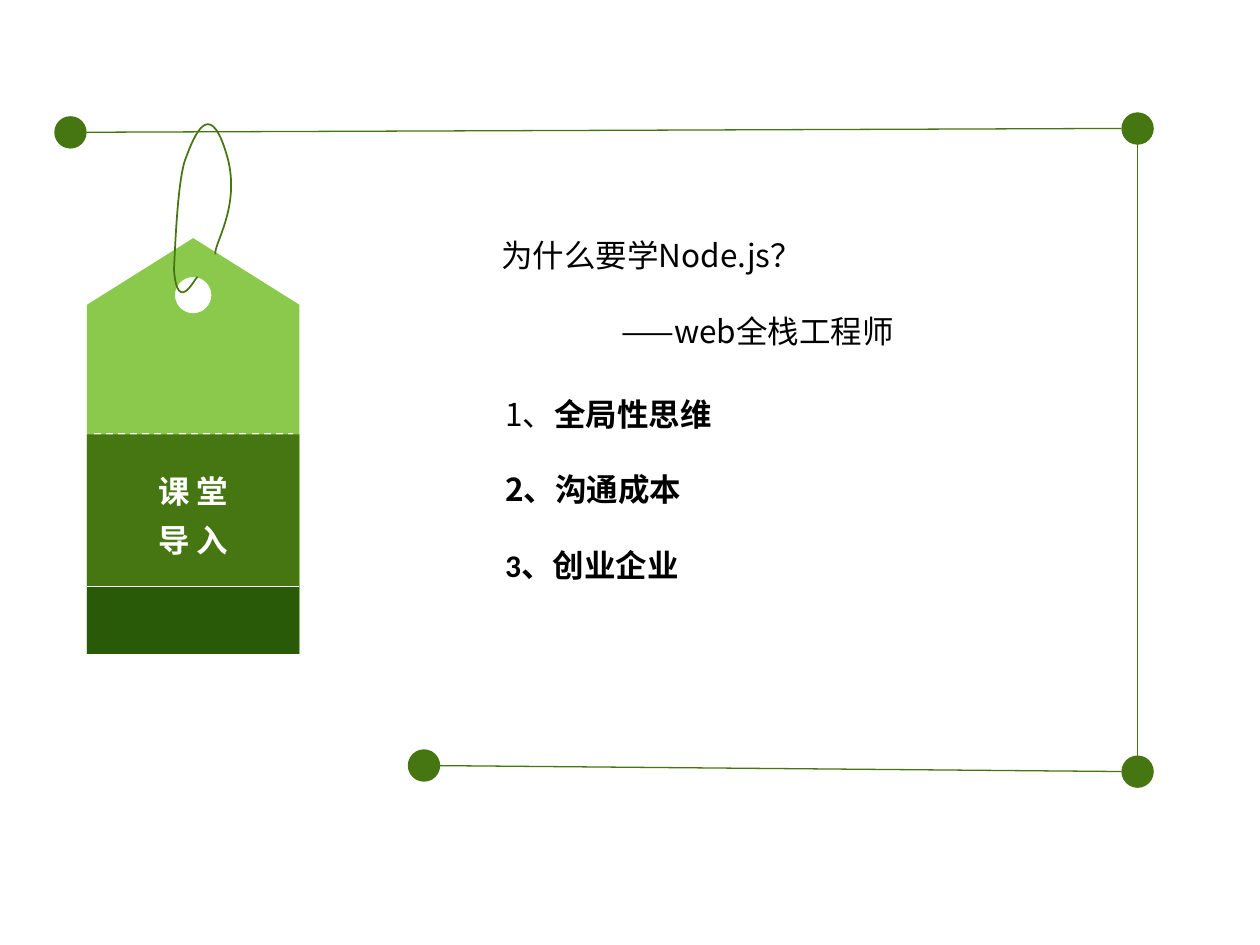
from pptx import Presentation
from pptx.dml.color import RGBColor
from pptx.enum.dml import MSO_LINE
from pptx.enum.shapes import MSO_CONNECTOR, MSO_SHAPE
from pptx.enum.text import MSO_ANCHOR, PP_ALIGN
from pptx.oxml.ns import qn
from pptx.util import Pt
from lxml.etree import SubElement

LIGHT = RGBColor(0x8B, 0xC9, 0x4C)
GREEN = RGBColor(0x46, 0x76, 0x12)
DARK = RGBColor(0x29, 0x5A, 0x07)
WHITE = RGBColor(255, 255, 255)
BLACK = RGBColor(0, 0, 0)
CJK = "Noto Sans CJK SC"


def add_run(p, text, font, color, bold):
    r = p.add_run()
    r.text = text
    r.font.size = Pt(18)
    r.font.name = font
    r.font.bold = bold
    r.font.color.rgb = color
    SubElement(r._r.get_or_add_rPr(), qn("a:ea")).set("typeface", CJK)


def add_outline(shapes, x, y, w, h, commands):
    fb = shapes.build_freeform(Pt(x), Pt(y))
    fb.add_line_segments([(Pt(x + w), Pt(y)), (Pt(x + w), Pt(y + h))])
    sp = fb.convert_to_shape()
    sp.shadow.inherit = False
    outline = sp._element.spPr.find(".//" + qn("a:path"))
    for child in list(outline):
        outline.remove(child)
    for name, *points in commands:
        command = SubElement(outline, qn("a:" + name))
        for px, py in points:
            pt = SubElement(command, qn("a:pt"))
            pt.set("x", str(Pt(px - x)))
            pt.set("y", str(Pt(py - y)))
    return sp


prs = Presentation()
prs.slide_width, prs.slide_height = Pt(720), Pt(540)
s = prs.slides.add_slide(prs.slide_layouts[6])
shapes = s.shapes

left, width = 49.7, 121.4
right, mid = left + width, left + width / 2
top, shoulder, band_top, foot_top, bottom = 136.1, 174.2, 248.2, 334.8, 373.7

hole_y, radius = 168.7, 10.4
k = radius * 0.55
hole = [("moveTo", (mid, hole_y - radius))]
for dx, dy in ((0, -1), (-1, 0), (0, 1), (1, 0)):
    ex, ey = dy, -dx
    hole.append(("cubicBezTo",
                 (mid + dx * radius + ex * k, hole_y + dy * radius + ey * k),
                 (mid + ex * radius + dx * k, hole_y + ey * radius + dy * k),
                 (mid + ex * radius, hole_y + ey * radius)))
tag = add_outline(shapes, left, top, width, bottom - top, hole + [
    ("close",),
    ("moveTo", (mid, top)),
    ("lnTo", (right, shoulder)),
    ("lnTo", (right, bottom)),
    ("lnTo", (left, bottom)),
    ("lnTo", (left, shoulder)),
    ("close",),
])
tag.fill.solid()
tag.fill.fore_color.rgb = LIGHT
tag.line.fill.background()

dot = 18.5
for kind, x, y, w, h, color in (
    (MSO_SHAPE.RECTANGLE, left, foot_top, width, bottom - foot_top, DARK),
    (MSO_CONNECTOR.STRAIGHT, left, foot_top, right, foot_top, WHITE),
    (MSO_CONNECTOR.STRAIGHT, 53.5, band_top, 167.3, band_top, WHITE),
    (MSO_SHAPE.RECTANGLE, left, band_top, width, foot_top - band_top, GREEN),
    (MSO_SHAPE.OVAL, 31, 66.4, dot, dot, GREEN),
    (MSO_SHAPE.OVAL, 640.8, 64.2, dot, dot, GREEN),
    (MSO_CONNECTOR.STRAIGHT, 49.5, 75.6, 640.8, 73.4, GREEN),
    (MSO_SHAPE.OVAL, 233, 428.2, dot, dot, GREEN),
    (MSO_SHAPE.OVAL, 640.8, 431.7, dot, dot, GREEN),
    (MSO_CONNECTOR.STRAIGHT, 251.4, 437.5, 640.8, 440.9, GREEN),
    (MSO_CONNECTOR.STRAIGHT, 650.1, 80.6, 650.1, 437.8, GREEN),
):
    box = Pt(x), Pt(y), Pt(w), Pt(h)
    if isinstance(kind, MSO_CONNECTOR):
        sp = shapes.add_connector(kind, *box)
        sp.line.color.rgb = color
        sp.line.width = Pt(0.75)
        if y == h == band_top:
            sp.line.width = Pt(1)
            sp.line.dash_style = MSO_LINE.DASH
        SubElement(sp._element.spPr, qn("a:effectLst"))
        continue
    sp = shapes.add_shape(kind, *box)
    sp.shadow.inherit = False
    sp.fill.solid()
    sp.fill.fore_color.rgb = color
    sp.line.fill.background()
    if y == band_top:
        tf = sp.text_frame
        tf.vertical_anchor = MSO_ANCHOR.MIDDLE
        tf.margin_left = tf.margin_right = Pt(4.3)
        tf.margin_top = tf.margin_bottom = Pt(3.6)
        for i, text in enumerate(("课 堂", "导 入")):
            p = tf.add_paragraph() if i else tf.paragraphs[0]
            p.alignment = PP_ALIGN.CENTER
            p.line_spacing = 1.3
            add_run(p, text, CJK, WHITE, True)

string = add_outline(shapes, 99.4, 71.3, 32.4, 95.8, [
    ("moveTo", (113, 158.4)),
    ("cubicBezTo", (113, 155.5), (101.5, 182.2), (99.4, 154.1)),
    ("cubicBezTo", (100.1, 141.1), (101.5, 100.1), (106.6, 89.3)),
    ("cubicBezTo", (110.9, 77.8), (119.5, 56.2), (128.9, 86.4)),
    ("cubicBezTo", (139, 116.6), (121.7, 139.7), (123.1, 145.4)),
])
string.fill.background()
string.line.color.rgb = GREEN
string.line.width = Pt(1)

for x, y, h, paragraphs in (
    (281.5, 200.5, 138.2, (
        (0, (("1、", CJK, False), ("全局性思维", "Calibri", True))),
        (0, (("2、", CJK, True), ("沟通成本", "Calibri", True))),
        (0, (("3、创业企业", "Calibri", True),)))),
    (279.4, 109.8, 94.3, (
        (0, (("为什么要学Node.js？", CJK, False),)),
        (68.5, (("——web全栈工程师", CJK, False),)))),
):
    tf = shapes.add_textbox(Pt(x), Pt(y), Pt(329.8), Pt(h)).text_frame
    tf.word_wrap = True
    for i, (indent, runs) in enumerate(paragraphs):
        p = tf.add_paragraph() if i else tf.paragraphs[0]
        p.line_spacing = 2.0
        if indent:
            p._p.get_or_add_pPr().set("marL", str(Pt(indent)))
        for text, font, bold in runs:
            add_run(p, text, font, BLACK, bold)

prs.save("out.pptx")
